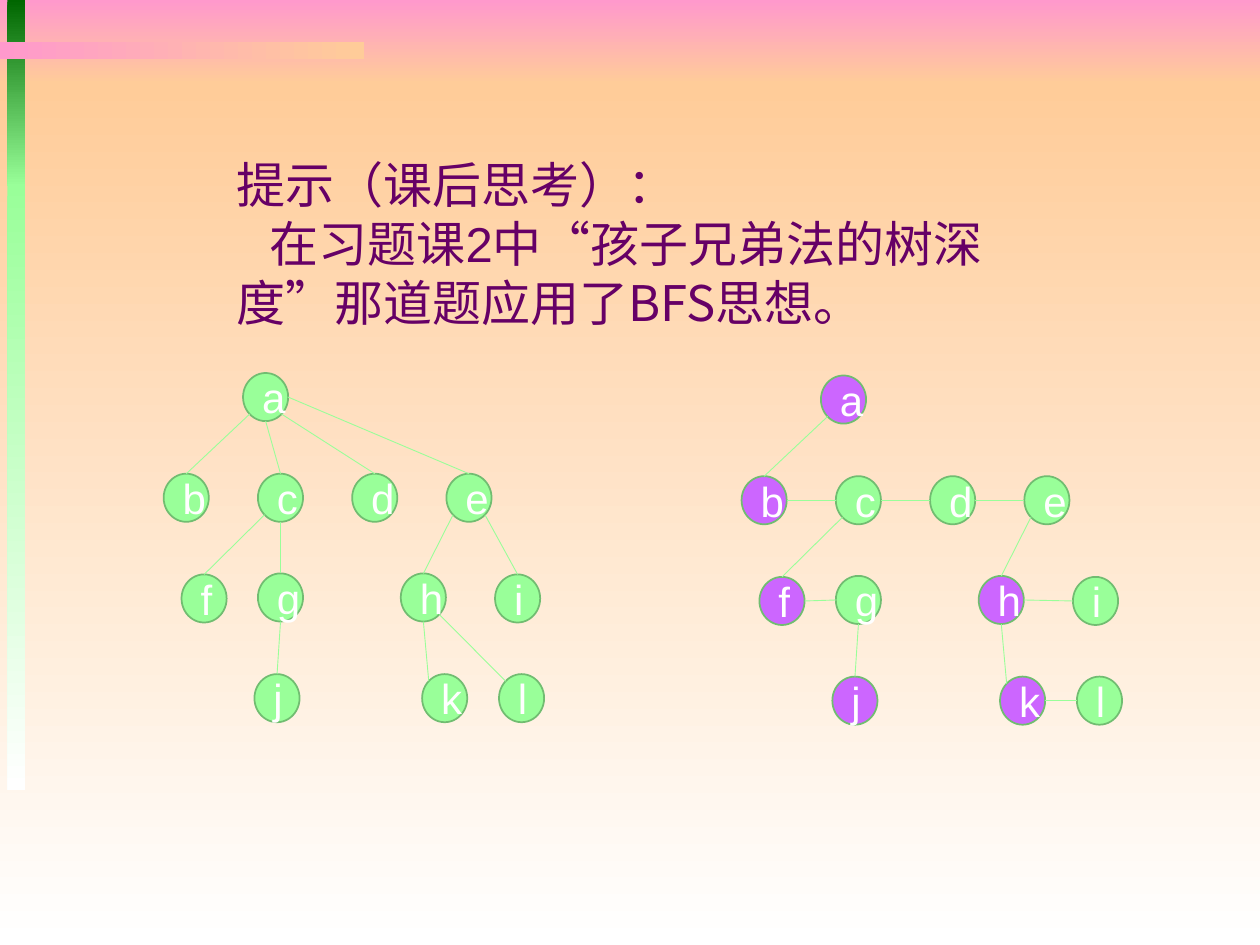
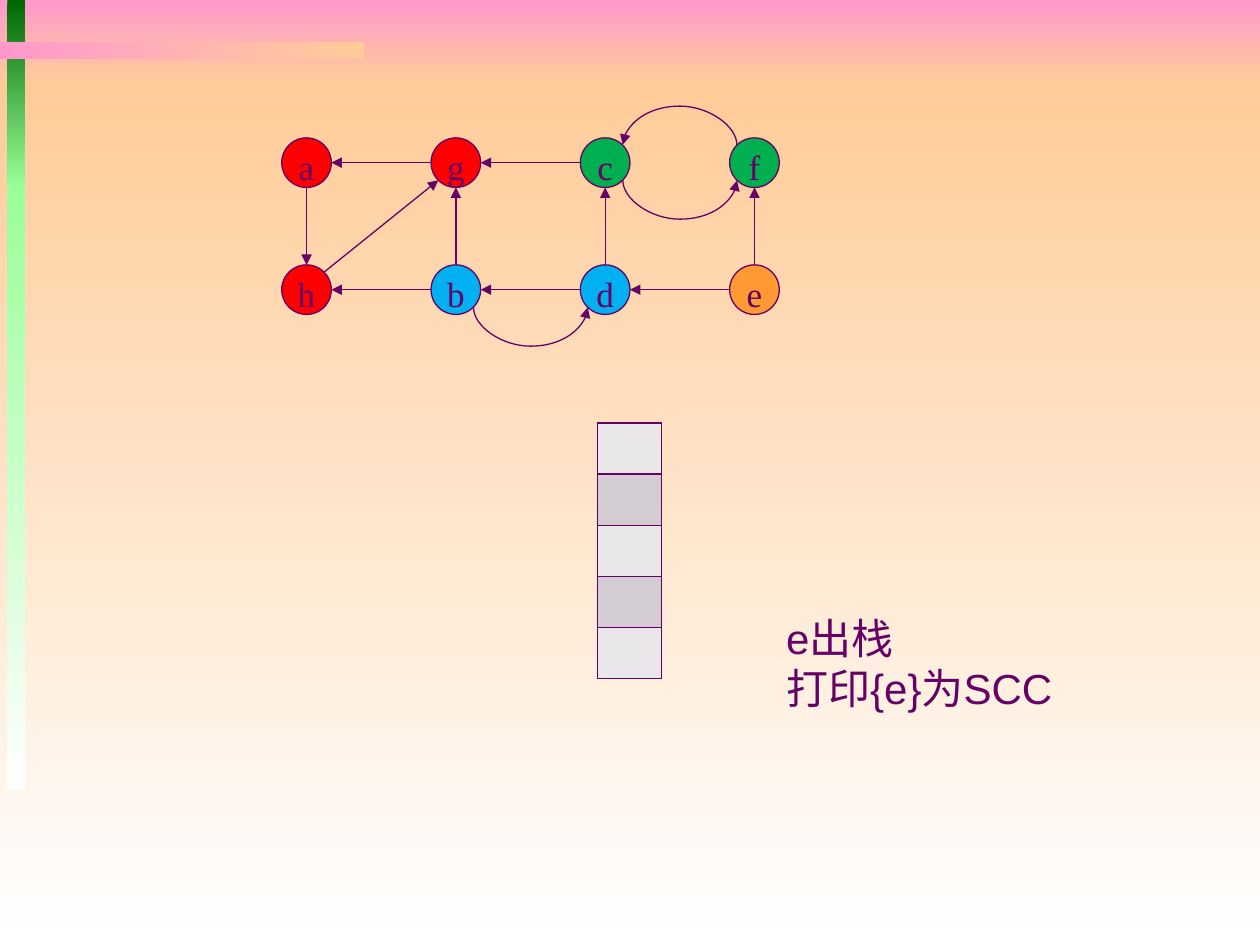
from dataclasses import dataclass
from math import cos, radians, sin

from lxml.etree import SubElement
from pptx import Presentation
from pptx.dml.color import RGBColor
from pptx.enum.shapes import MSO_CONNECTOR, MSO_SHAPE
from pptx.enum.text import MSO_ANCHOR, MSO_AUTO_SIZE, PP_ALIGN
from pptx.oxml.ns import qn
from pptx.util import Cm, Pt

PLUM, WHITE, MINT, VIOLET = "660066", "FFFFFF", "99FF99", "CC66FF"
PINK, PEACH, FOREST = "FF99CC", "FFCC99", "006600"
RED, GREEN, BLUE, ORANGE = "FF0000", "00B050", "00B0F0", "FF9933"
SANS, SERIF, CJK = "Arial", "Times New Roman", "Noto Sans CJK SC"
DOWN, ACROSS = 270, 0


def rgb(value):
    return RGBColor.from_string(value)


@dataclass
class NodeStyle:
    width: float
    height: float
    line: str
    weight: float
    font: str
    size: int
    color: str
    anchor: MSO_ANCHOR
    inset: bool


TREE_NODE = NodeStyle(0.91, 0.97, "71BD71", 1, SANS, 24, WHITE, MSO_ANCHOR.MIDDLE, True)
GRAPH_NODE = NodeStyle(1, 1, PLUM, 0.75, SERIF, 20, PLUM, MSO_ANCHOR.TOP, False)


class Deck:
    def __init__(self):
        self.prs = Presentation()
        self.prs.slide_width, self.prs.slide_height = Cm(25.4), Cm(19.05)
        self.slide = None

    def new_slide(self):
        self.slide = self.prs.slides.add_slide(self.prs.slide_layouts[6])

    def master_band(self, index, box, start, end, angle):
        sp = self.slide.shapes.add_shape(MSO_SHAPE.RECTANGLE, *map(Cm, box))
        sp.shadow.inherit = False
        sp.line.fill.background()
        sp.fill.gradient()
        sp.fill.gradient_angle = angle
        for stop, color in zip(sp.fill.gradient_stops, (start, end)):
            stop.color.rgb = rgb(color)
        sp.element.xpath(".//p:cNvPr")[0].set("id", str(100 + index))
        self.prs.slide_master.shapes.element.insert(2 + index, sp.element)

    def run(self, p, text, font, size, color):
        r = p.add_run()
        r.text = text
        r.font.name, r.font.size = font, Pt(size)
        r.font.color.rgb = rgb(color)
        SubElement(r.font._element, qn("a:ea")).set("typeface", CJK)

    def text(self, box, paragraphs, size):
        tb = self.slide.shapes.add_textbox(*map(Cm, box))
        tf = tb.text_frame
        tf.word_wrap = True
        tf.auto_size = MSO_AUTO_SIZE.SHAPE_TO_FIT_TEXT
        for i, (indent, runs) in enumerate(paragraphs):
            p = tf.add_paragraph() if i else tf.paragraphs[0]
            p._p.get_or_add_pPr().set("indent", str(Cm(indent)))
            for text, font in runs:
                self.run(p, text, font, size, PLUM)

    def node(self, label, x, y, fill, style):
        sp = self.slide.shapes.add_shape(
            MSO_SHAPE.OVAL, Cm(x), Cm(y), Cm(style.width), Cm(style.height))
        sp.shadow.inherit = False
        sp.fill.solid()
        sp.fill.fore_color.rgb = rgb(fill)
        sp.line.color.rgb = rgb(style.line)
        sp.line.width = Pt(style.weight)
        tf = sp.text_frame
        tf.vertical_anchor = style.anchor
        if not style.inset:
            tf.margin_left = tf.margin_right = tf.margin_top = tf.margin_bottom = 0
        p = tf.paragraphs[0]
        p.alignment = PP_ALIGN.CENTER
        self.run(p, label, style.font, style.size, style.color)
        return sp

    def site(self, sp, index):
        turn = radians(45 * index)
        return (round(sp.left + sp.width / 2 * (1 - sin(turn))),
                round(sp.top + sp.height / 2 * (1 - cos(turn))))

    def finish_edge(self, cxn, ends, color, weight, arrow):
        cxn.line.color.rgb = rgb(color)
        cxn.line.width = Pt(weight)
        if arrow:
            ln = cxn.line._get_or_add_ln()
            SubElement(ln, qn("a:tailEnd")).set("type", "triangle")
        SubElement(cxn.element.spPr, qn("a:effectLst"))
        props = cxn.element.xpath(".//p:cNvCxnSpPr")[0]
        for tag, (sp, index) in zip(("a:stCxn", "a:endCxn"), ends):
            joint = SubElement(props, qn(tag))
            joint.set("id", str(sp.shape_id))
            joint.set("idx", str(index))

    def ends(self, nodes, edge):
        a, i, b, j = edge
        return (nodes[a], int(i)), (nodes[b], int(j))

    def edges(self, nodes, edges, color, weight, arrow=False):
        for edge in edges.split():
            ends = self.ends(nodes, edge)
            start, end = (self.site(*e) for e in ends)
            cxn = self.slide.shapes.add_connector(MSO_CONNECTOR.STRAIGHT, *start, *end)
            self.finish_edge(cxn, ends, color, weight, arrow)

    def arc(self, nodes, edge, flip, depth=0.79):
        ends = self.ends(nodes, edge)
        (x1, y1), (x2, y2) = (self.site(*e) for e in ends)
        width, span = Cm(0.01), abs(x2 - x1)
        left, top = (x1 + x2 - width) // 2, (y1 + y2 - span) // 2
        cxn = self.slide.shapes.add_connector(
            MSO_CONNECTOR.CURVE, left, top, left + width, top + span)
        xfrm = cxn.element.xpath(".//a:xfrm")[0]
        xfrm.set("rot", str(270 * 60000))
        xfrm.set(flip, "1")
        gd = SubElement(cxn.element.xpath(".//a:avLst")[0], qn("a:gd"))
        gd.set("name", "adj1")
        gd.set("fmla", f"val {round(Cm(depth) / width * 100000)}")
        self.finish_edge(cxn, ends, PLUM, 0.75, True)

    def stack(self, x, y, width, row_height, fills):
        frame = self.slide.shapes.add_table(
            len(fills), 1, Cm(x), Cm(y), Cm(width), Cm(row_height * len(fills)))
        table = frame.table
        table.first_row = table.horz_banding = False
        for row, fill in zip(table.rows, fills):
            row.height = Cm(row_height)
            cell = row.cells[0]
            tcPr = cell._tc.get_or_add_tcPr()
            for side in ("a:lnL", "a:lnR", "a:lnT", "a:lnB"):
                ln = SubElement(tcPr, qn(side))
                ln.set("w", str(Pt(1)))
                solid = SubElement(ln, qn("a:solidFill"))
                SubElement(solid, qn("a:srgbClr")).set("val", PLUM)
            cell.fill.solid()
            cell.fill.fore_color.rgb = rgb(fill)


BANDS = [
    ((0, 0, 25.4, 1.7), PINK, PEACH, DOWN),
    ((0, 1.7, 25.4, 17.35), PEACH, WHITE, DOWN),
    ((0.15, 0, 0.36, 3.76), FOREST, MINT, DOWN),
    ((0.15, 3.71, 0.36, 12.22), MINT, WHITE, DOWN),
    ((0, 0.84, 7.34, 0.36), PINK, PEACH, ACROSS),
]

TREE = {
    "a": (4.9, 7.52),
    "b": (3.3, 9.55), "c": (5.2, 9.55), "d": (7.1, 9.55), "e": (9, 9.55),
    "f": (3.66, 11.58), "g": (5.2, 11.56), "h": (8.08, 11.56), "i": (9.98, 11.58),
    "j": (5.13, 13.59), "k": (8.51, 13.59), "l": (10.06, 13.59),
}
CHILD_EDGES = "a3b0 a4c0 a5d0 a6e0 c3f0 c4g0 e3h0 e5i0 g4j0 h4k1 h5l1"
SIBLING_EDGES = "a3b0 b6c2 f6g2 c6d2 c3f0 e3h0 h6i2 g4j0 h4k1 k6l2 d6e2"

GRAPH_ROWS = ("agcf", "hbde")
GRAPH_FILLS = {"a": RED, "g": RED, "h": RED, "b": BLUE, "d": BLUE,
               "c": GREEN, "f": GREEN, "e": ORANGE}
GRAPH_EDGES = "g2a6 c2g6 b0g4 d0c4 e0f4 a4h0 b2h6 d2b6 e2d6 h7g3"


def hint_slide(deck):
    deck.text((4.52, 3, 16.51, 3.84), [
        (0, [("提示（课后思考）：", SANS)]),
        (0.67, [("在习题课2中“", SANS),
                ("孩子兄弟法的树深度”那道题应用了BFS思想。", CJK)]),
    ], 28)
    trees = ((0, 0, "", CHILD_EDGES), (11.65, 0.05, "abfhjk", SIBLING_EDGES))
    for dx, dy, first_children, edges in trees:
        nodes = {label: deck.node(label, x + dx, y + dy,
                                  VIOLET if label in first_children else MINT, TREE_NODE)
                 for label, (x, y) in TREE.items()}
        deck.edges(nodes, edges, MINT, 0.5)


def scc_slide(deck):
    nodes = {label: deck.node(label, 5.68 + 3.01 * col, 2.78 + 2.56 * row,
                              GRAPH_FILLS[label], GRAPH_NODE)
             for row, labels in enumerate(GRAPH_ROWS)
             for col, label in enumerate(labels)}
    deck.edges(nodes, GRAPH_EDGES, PLUM, 0.75, arrow=True)
    for edge, flip in (("f1c7", "flipV"), ("c5f3", "flipH"), ("b5d3", "flipH")):
        deck.arc(nodes, edge, flip)
    light, dark = "EAE7EA", "D3CCD3"
    deck.stack(12.04, 8.53, 1.3, 1.03, [light, dark, light, dark, light])
    deck.text((15.6, 12.22, 8.13, 2.31), [
        (0, [("e出栈", SANS)]),
        (0, [("打印{e}为SCC", SANS)]),
    ], 24)


def main():
    deck = Deck()
    deck.new_slide()
    for i, band in enumerate(BANDS):
        deck.master_band(i, *band)
    hint_slide(deck)
    deck.new_slide()
    scc_slide(deck)
    deck.prs.save("out.pptx")


if __name__ == "__main__":
    main()
